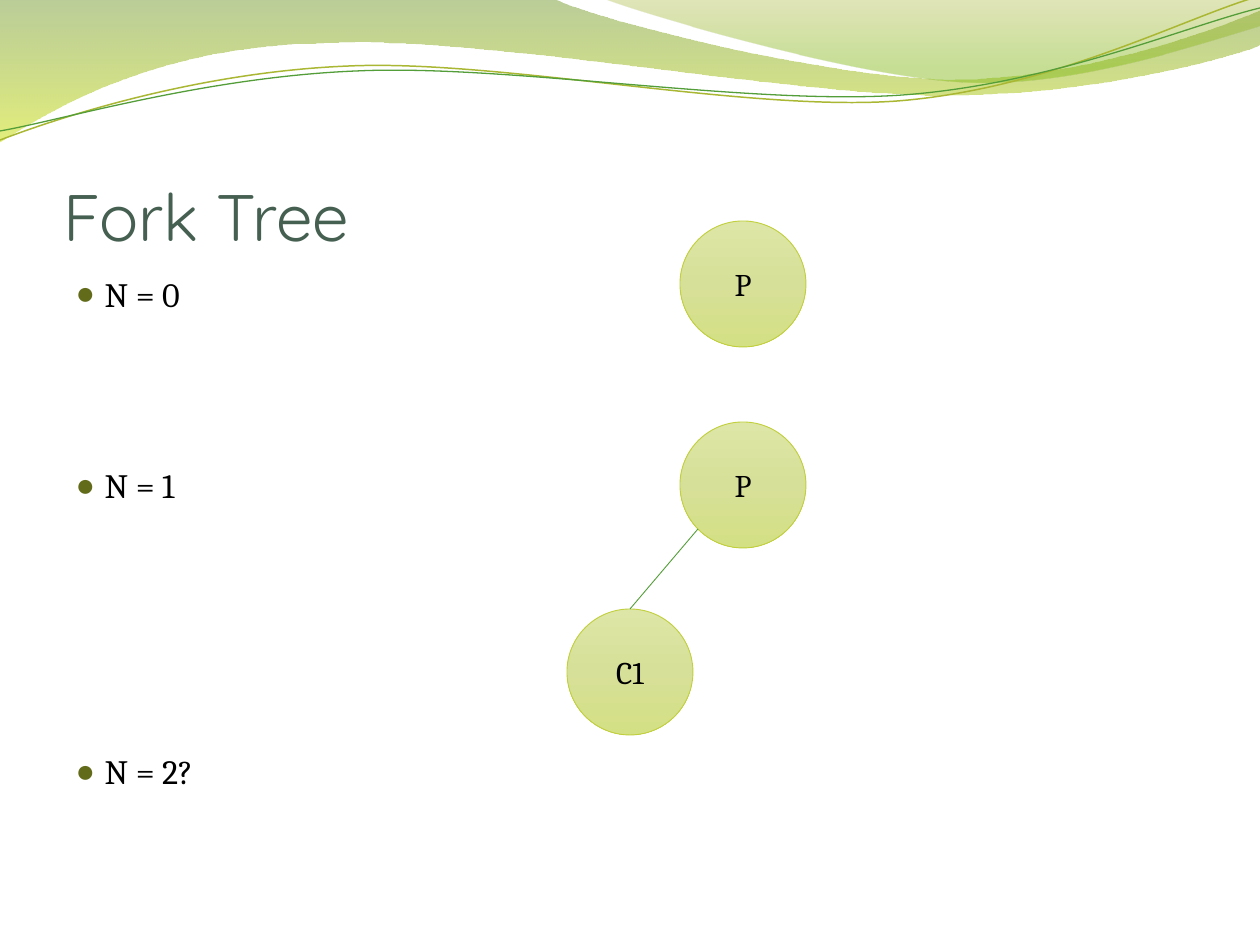
import copy

import pptx
import pptx.dml.color
import pptx.enum.shapes
import pptx.enum.text
import pptx.oxml
import pptx.oxml.ns
import pptx.util

SCALE = 914400 / 126
DIAMETER = 126
CIRCLE_STOPS = [(0, "DDE6A6", 100), (50, "D7E098", 100), (100, "D4E084", 100)]
BANDS = [
    ([(0, 0), (554, -1), (599, 21, 835, 79, 955, 79), (1075, 79, 1207, 33, 1260, 11),
      (1261, 45), (1239, 55, 1095, 96, 940, 95), (784, 95, 480, 35, 324, 43),
      (163, 45, 58, 105, -1, 142)],
     [(0, "69921C", 45), (100, "CCE10F", 55)]),
    ([(604, -1), (641, 14, 859, 78, 968, 82), (1077, 87, 1211, 40, 1260, 26), (1260, 0)],
     [(0, "9BAA1A", 30), (80, "81BA16", 45)]),
]
STRANDS = [
    ([(0, 140), (60, 117, 198, 72, 348, 66), (498, 59, 746, 112, 897, 101),
      (1050, 89, 1182, 19, 1256, -3)], "A9B733", 0.85),
    ([(0, 131), (59, 121, 205, 77, 357, 71), (507, 64, 752, 106, 903, 95),
      (1053, 84, 1186, 26, 1260, 8)], "549E39", 0.75),
]
CASES = [("N = 0", 4), ("N = 1", 86), ("N = 2?", 140)]


def px(length):
    return pptx.util.Emu(round(length * SCALE))


def colour(value):
    return pptx.dml.color.RGBColor.from_string(value)


def apply(target, values):
    for name, value in values.items():
        setattr(target, name, value)


def make_xml(tag, content=""):
    namespace = pptx.oxml.ns.nsdecls("a")
    return pptx.oxml.parse_xml(f"<a:{tag} {namespace}>{content}</a:{tag.split()[0]}>")


def place(box, left, top, width, height):
    apply(box, {"left": px(left), "top": px(top), "width": px(width), "height": px(height)})


def write(para, text, font, size, value):
    span = para.add_run()
    span.text = text
    apply(span.font, {"name": font, "size": pptx.util.Pt(size)})
    span.font.color.rgb = colour(value)


def set_line(item, value, width):
    item.line.color.rgb = colour(value)
    item.line.width = pptx.util.Pt(width)


def fill_gradient(shape, stops):
    shape.fill.gradient()
    shape.fill.gradient_angle = 270
    holder = shape.fill._fill._gradFill.gsLst
    while len(holder) < len(stops):
        holder.append(copy.deepcopy(holder[0]))
    for stop, element, (position, value, opacity) in zip(shape.fill.gradient_stops, holder, stops):
        stop.position = position / 100
        stop.color.rgb = colour(value)
        if opacity < 100:
            element[0].append(make_xml(f'alpha val="{opacity * 1000}"'))


def add_curve(page, segments, close):
    anchors = [(px(segment[-2]), px(segment[-1])) for segment in segments]
    builder = page.shapes.build_freeform(*anchors[0], scale=1.0)
    builder.add_line_segments(anchors[1:], close=close)
    shape = builder.convert_to_shape()
    shape.shadow.inherit = False
    sides = list(shape.element.iter(pptx.oxml.ns.qn("a:lnTo")))
    for side, segment in zip(sides, segments[1:]):
        if len(segment) == 6:
            points = "".join(f'<a:pt x="{px(x) - shape.left}" y="{px(y) - shape.top}"/>'
                             for x, y in zip(segment[::2], segment[1::2]))
            side.getparent().replace(side, make_xml("cubicBezTo", points))
    return shape


def add_waves(page):
    for segments, stops in BANDS:
        band = add_curve(page, segments, True)
        fill_gradient(band, stops)
        band.line.fill.background()
    for segments, value, width in STRANDS:
        strand = add_curve(page, segments, False)
        strand.fill.background()
        set_line(strand, value, width)


def bring_to_front(box):
    box.element.getparent().append(box.element)


def add_title(page, text):
    box = page.shapes.title
    bring_to_front(box)
    place(box, 63, 98, 1134, 157)
    apply(box.text_frame, {
        "margin_left": 0, "margin_right": 0, "margin_top": px(6), "margin_bottom": 0,
        "vertical_anchor": pptx.enum.text.MSO_ANCHOR.BOTTOM, "word_wrap": True})
    para = box.text_frame.paragraphs[0]
    para.alignment = pptx.enum.text.PP_ALIGN.LEFT
    write(para, text, "Quicksand", 37.5, "455F51")


def add_cases(page):
    box = page.placeholders[1]
    bring_to_front(box)
    place(box, 63, 267, 1134, 605)
    frame = box.text_frame
    for index, (text, gap) in enumerate(CASES):
        para = frame.add_paragraph() if index else frame.paragraphs[0]
        para.space_before = pptx.util.Pt(gap)
        write(para, text, "Cambria", 19.5, "000000")
        settings = para._p.get_or_add_pPr()
        settings.set("marL", str(px(29)))
        settings.set("indent", str(px(-29)))
        settings.append(make_xml("buClr", '<a:srgbClr val="626B1A"/>'))
        settings.append(make_xml('buSzPct val="95000"'))
        settings.append(make_xml('buChar char="●"'))


def add_process(page, text, left, top):
    circle = page.shapes.add_shape(pptx.enum.shapes.MSO_SHAPE.OVAL,
                                   px(left), px(top), px(DIAMETER), px(DIAMETER))
    circle.shadow.inherit = False
    fill_gradient(circle, CIRCLE_STOPS)
    set_line(circle, "C0CF3A", 0.5)
    circle.text_frame.vertical_anchor = pptx.enum.text.MSO_ANCHOR.MIDDLE
    para = circle.text_frame.paragraphs[0]
    para.alignment = pptx.enum.text.PP_ALIGN.CENTER
    write(para, text, "Cambria", 18, "000000")
    return circle


def add_branch(page, start, child):
    branch = page.shapes.add_connector(pptx.enum.shapes.MSO_CONNECTOR.STRAIGHT,
                                       px(start[0]), px(start[1]), child.left, child.top)
    branch.end_connect(child, 0)
    set_line(branch, "549E39", 0.5)
    branch.element.spPr.append(make_xml("effectLst"))


def main():
    deck = pptx.Presentation()
    apply(deck, {"slide_width": px(1260), "slide_height": px(945)})
    page = deck.slides.add_slide(deck.slide_layouts[1])
    add_waves(page)
    add_title(page, "Fork Tree")
    add_cases(page)
    add_process(page, "P", 680, 221)
    add_process(page, "P", 680, 422)
    child = add_process(page, "C1", 567, 609)
    add_branch(page, (698, 529), child)
    deck.save("out.pptx")


if __name__ == "__main__":
    main()
